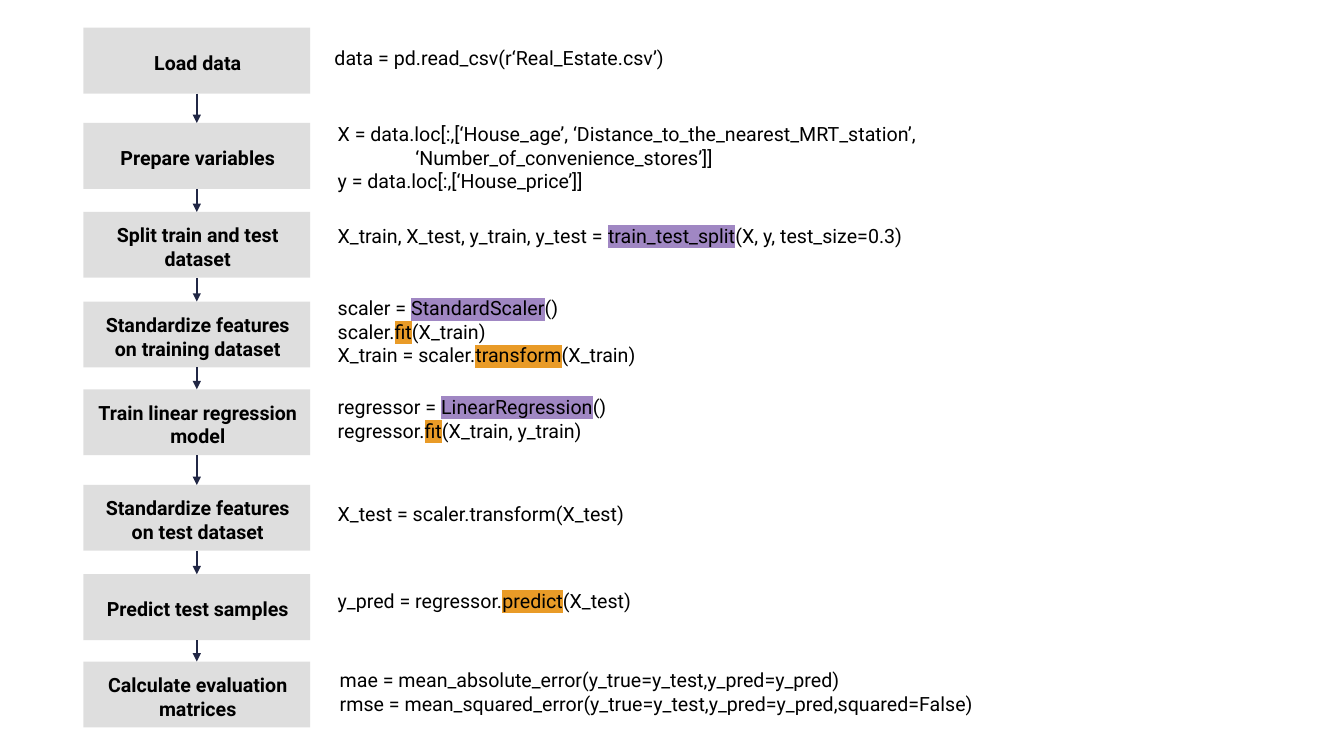
"""Build the slide of regression steps with the code for each step."""
import pptx
import pptx.dml.color
import pptx.enum.shapes
import pptx.enum.text
import pptx.oxml.ns
import pptx.util
from lxml import etree

Cm = pptx.util.Cm
PURPLE, ORANGE = "A087C3", "E99B27"
BREAK = "\n"

# label, box top, code (left, top, width), code lines; a pair is marked text
STEPS = [
    ("Load data", 0.7, (8.18, 1.04, 16.94),
     [["data = pd.read_csv(r‘Real_Estate.csv’)"]]),
    ("Prepare variables", 3.1, (8.26, 2.95, 24.77),
     [["X = data.loc[:,[‘House_age’, ‘Distance_to_the_nearest_MRT_station’,",
       BREAK, "                ‘Number_of_convenience_stores’]]"],
      ["y = data.loc[:,[‘House_price’]]"]]),
    ("Split train and test dataset", 5.34, (8.26, 5.51, 22.02),
     [["X_train, X_test, y_train, y_test = ", ("train_test_split", PURPLE),
       "(X, y, test_size=0.3)"]]),
    ("Standardize features on training dataset", 7.6, (8.26, 7.34, 23.52),
     [["scaler = ", ("StandardScaler", PURPLE), "()"],
      ["scaler.", ("fit", ORANGE), "(X_train)"],
      ["X_train = scaler.", ("transform", ORANGE), "(X_train)"]]),
    ("Train linear regression model", 9.81, (8.26, 9.83, 16.94),
     [["regressor = ", ("LinearRegression", PURPLE), "()"],
      ["regressor.", ("fit", ORANGE), "(X_train, y_train)"]]),
    ("Standardize features on test dataset", 12.22, (8.26, 12.52, 23.52),
     [["X_test = scaler.transform(X_test)"]]),
    ("Predict test samples", 14.47, (8.26, 14.71, 16.94),
     [["y_pred = regressor.", ("predict", ORANGE), "(X_test)"]]),
    ("Calculate evaluation matrices", 16.67, (8.31, 16.71, 24.69),
     [["mae = mean_absolute_error(y_true=y_test,y_pred=y_pred)"],
      ["rmse = mean_squared_error(y_true=y_test,y_pred=y_pred,squared=False)"]]),
]
BOX_LEFT, BOX_WIDTH, BOX_HEIGHT = 2.1, 5.72, 1.66
LINE_HEIGHT, PADDING = 0.6, 0.25


def color(code):
    return pptx.dml.color.RGBColor.from_string(code)


def add(parent, tag, **attrs):
    return etree.SubElement(parent, pptx.oxml.ns.qn(tag), attrs)


def style(para, bold=False):
    font = para.font
    font.name, font.size, font.bold = "Roboto", pptx.util.Pt(14), bold
    font.color.rgb = color("000000")


def add_box(slide, label, top):
    box = slide.shapes.add_shape(
        pptx.enum.shapes.MSO_SHAPE.RECTANGLE,
        Cm(BOX_LEFT), Cm(top), Cm(BOX_WIDTH), Cm(BOX_HEIGHT))
    box.shadow.inherit = False
    box.fill.solid()
    box.fill.fore_color.rgb = color("BFBFBF")
    tint = box.fill._xPr.find(".//" + pptx.oxml.ns.qn("a:srgbClr"))
    add(tint, "a:alpha", val="50000")
    box.line.fill.background()
    frame = box.text_frame
    frame.word_wrap = True
    frame.vertical_anchor = pptx.enum.text.MSO_ANCHOR.MIDDLE
    frame.margin_left, frame.margin_right = Cm(0.3), Cm(0.25)
    frame.margin_top, frame.margin_bottom = Cm(0.1), Cm(0)
    para = frame.paragraphs[0]
    para.text = label
    para.alignment = pptx.enum.text.PP_ALIGN.CENTER
    style(para, bold=True)
    return box


def add_arrow(slide, start, end):
    arrow = slide.shapes.add_connector(
        pptx.enum.shapes.MSO_CONNECTOR.STRAIGHT, 0, 0, 0, 0)
    arrow.begin_connect(start, 2)
    arrow.end_connect(end, 0)
    arrow.line.color.rgb = color("212745")
    arrow.line.width = pptx.util.Pt(1.5)
    add(arrow.line._get_or_add_ln(), "a:tailEnd", type="triangle")
    add(arrow._element.spPr, "a:effectLst")


def add_code(slide, place, lines):
    count = sum(1 + line.count(BREAK) for line in lines)
    left, top, width = place
    area = slide.shapes.add_textbox(
        Cm(left), Cm(top), Cm(width), Cm(PADDING + LINE_HEIGHT * count))
    frame = area.text_frame
    frame.word_wrap = True
    for i, line in enumerate(lines):
        para = frame.add_paragraph() if i else frame.paragraphs[0]
        style(para)
        for part in line:
            if part == BREAK:
                para.add_line_break()
                continue
            text, mark = part if isinstance(part, tuple) else (part, None)
            run = para.add_run()
            run.text = text
            if mark:
                light = add(run._r.get_or_add_rPr(), "a:highlight")
                add(light, "a:srgbClr", val=mark)


def main():
    deck = pptx.Presentation()
    deck.slide_width, deck.slide_height = Cm(33.87), Cm(19.05)
    slide = deck.slides.add_slide(deck.slide_layouts[6])
    boxes = [add_box(slide, label, top) for label, top, _, _ in STEPS]
    for start, end in zip(boxes, boxes[1:]):
        add_arrow(slide, start, end)
    for _, _, place, lines in STEPS:
        add_code(slide, place, lines)
    deck.save("out.pptx")


if __name__ == "__main__":
    main()
